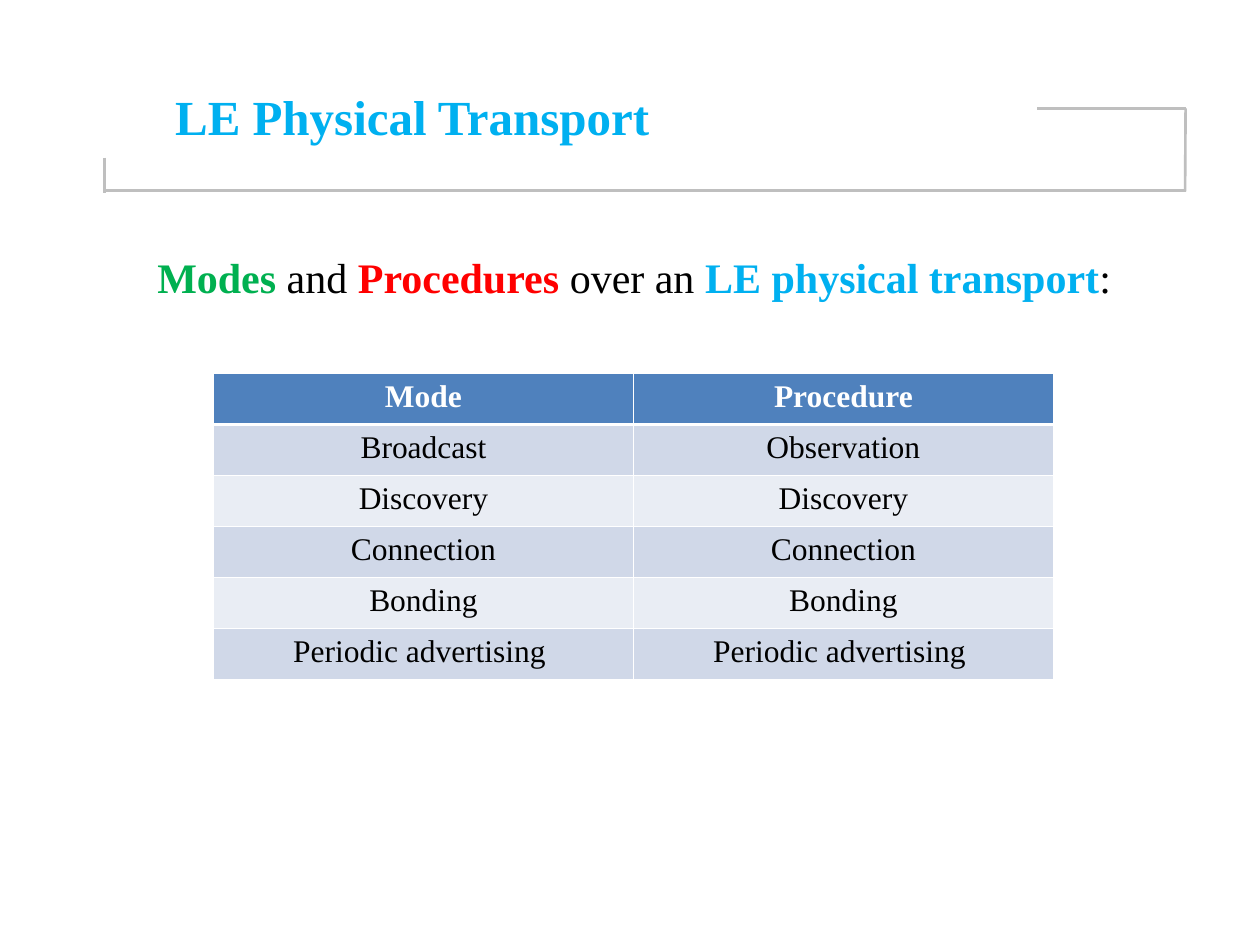
import itertools

import pptx
import pptx.dml.color
import pptx.enum.shapes
import pptx.enum.text
import pptx.oxml
import pptx.oxml.ns
import pptx.util

THEME = {
    "face": "Times New Roman",
    "title": 28, "lead": 24, "cell": 18,
    "rule": 1.5, "thin": 0.45, "thick": 1.47,
    "blue": "00B0F0", "green": "00B050", "red": "FF0000",
    "black": "000000", "white": "FFFFFF", "grey": "BFBFBF",
    "head": "4F81BD", "bands": ("D0D8E8", "E9EDF4"),
}

FRAME = [
    ((59.8, 90), (59.8, 110.2)),
    ((59.8, 108.7), (677.5, 108.7)),
    ((677.2, 109.4), (677.5, 61.9)),
    ((677.5, 61.9), (592.6, 61.9)),
]

LEAD = [
    ("Modes", "green", True),
    (" and ", "black", False),
    ("Procedures", "red", True),
    (" over an ", "black", False),
    ("LE physical transport", "blue", True),
    (":", "black", False),
]

ROWS = [
    ("Mode", "Procedure"),
    ("Broadcast", "Observation"),
    ("Discovery", "Discovery"),
    ("Connection", "Connection"),
    ("Bonding", "Bonding"),
    ("Periodic advertising ", "Periodic advertising "),
]


def paint(name):
    return pptx.dml.color.RGBColor.from_string(name)


def apply(item, values):
    for key, value in values.items():
        setattr(item, key, value)


def write(para, runs, size):
    for text, tone, bold in runs:
        run = para.add_run()
        run.text = text
        apply(run.font, {"name": THEME["face"], "bold": bold,
                         "size": pptx.util.Pt(THEME[size])})
        run.font.color.rgb = paint(THEME[tone])


def fill_box(shape, place, runs, size):
    sides = ("left", "top", "width", "height")
    apply(shape, dict(zip(sides, map(pptx.util.Pt, place))))
    frame = shape.text_frame
    apply(frame, {
        "word_wrap": True,
        "auto_size": pptx.enum.text.MSO_AUTO_SIZE.SHAPE_TO_FIT_TEXT,
        "vertical_anchor": pptx.enum.text.MSO_ANCHOR.TOP,
    })
    para = frame.paragraphs[0]
    para.alignment = pptx.enum.text.PP_ALIGN.LEFT
    write(para, runs, size)


def add_rule(slide, start, end):
    kind = pptx.enum.shapes.MSO_CONNECTOR.STRAIGHT
    rule = slide.shapes.add_connector(kind, *map(pptx.util.Pt, start + end))
    rule.line.width = pptx.util.Pt(THEME["rule"])
    rule.line.color.rgb = paint(THEME["grey"])
    props = rule._element.spPr
    props.append(props.makeelement(pptx.oxml.ns.qn("a:effectLst"), {}))


def edge_cell(cell, row):
    widths = {"L": "thin", "R": "thin",
              "T": "thick" if row == 1 else "thin",
              "B": "thick" if row == 0 else "thin"}
    props = cell._tc.get_or_add_tcPr()
    for spot, (side, width) in enumerate(widths.items()):
        props.insert(spot, pptx.oxml.parse_xml(
            f'<a:ln{side} {pptx.oxml.ns.nsdecls("a")} '
            f'w="{pptx.util.Pt(THEME[width])}"><a:solidFill>'
            f'<a:srgbClr val="{THEME["white"]}"/></a:solidFill></a:ln{side}>'))


def add_grid(slide, place, rows):
    shape = slide.shapes.add_table(
        len(rows), len(rows[0]), *map(pptx.util.Pt, place))
    bands = itertools.cycle(THEME["bands"])
    for row, texts in enumerate(rows):
        head = row == 0
        back = THEME["head"] if head else next(bands)
        for col, text in enumerate(texts):
            cell = shape.table.cell(row, col)
            cell.fill.solid()
            cell.fill.fore_color.rgb = paint(back)
            edge_cell(cell, row)
            para = cell.text_frame.paragraphs[0]
            para.alignment = pptx.enum.text.PP_ALIGN.CENTER
            tone = "white" if head else "black"
            write(para, [(text, tone, head)], "cell")


def main():
    deck = pptx.Presentation()
    apply(deck, {"slide_width": pptx.util.Pt(720),
                 "slide_height": pptx.util.Pt(540)})
    slide = deck.slides.add_slide(deck.slide_layouts[5])
    for start, end in FRAME:
        add_rule(slide, start, end)
    fill_box(slide.shapes.title, (92.9, 46.1, 295.2, 41),
             [("LE Physical Transport", "blue", True)], "title")
    lead = slide.shapes.add_textbox(0, 0, 0, 0)
    fill_box(lead, (82.8, 140.4, 571, 36), LEAD, "lead")
    add_grid(slide, (122, 213.4, 480, 175), ROWS)
    deck.save("out.pptx")


if __name__ == "__main__":
    main()
